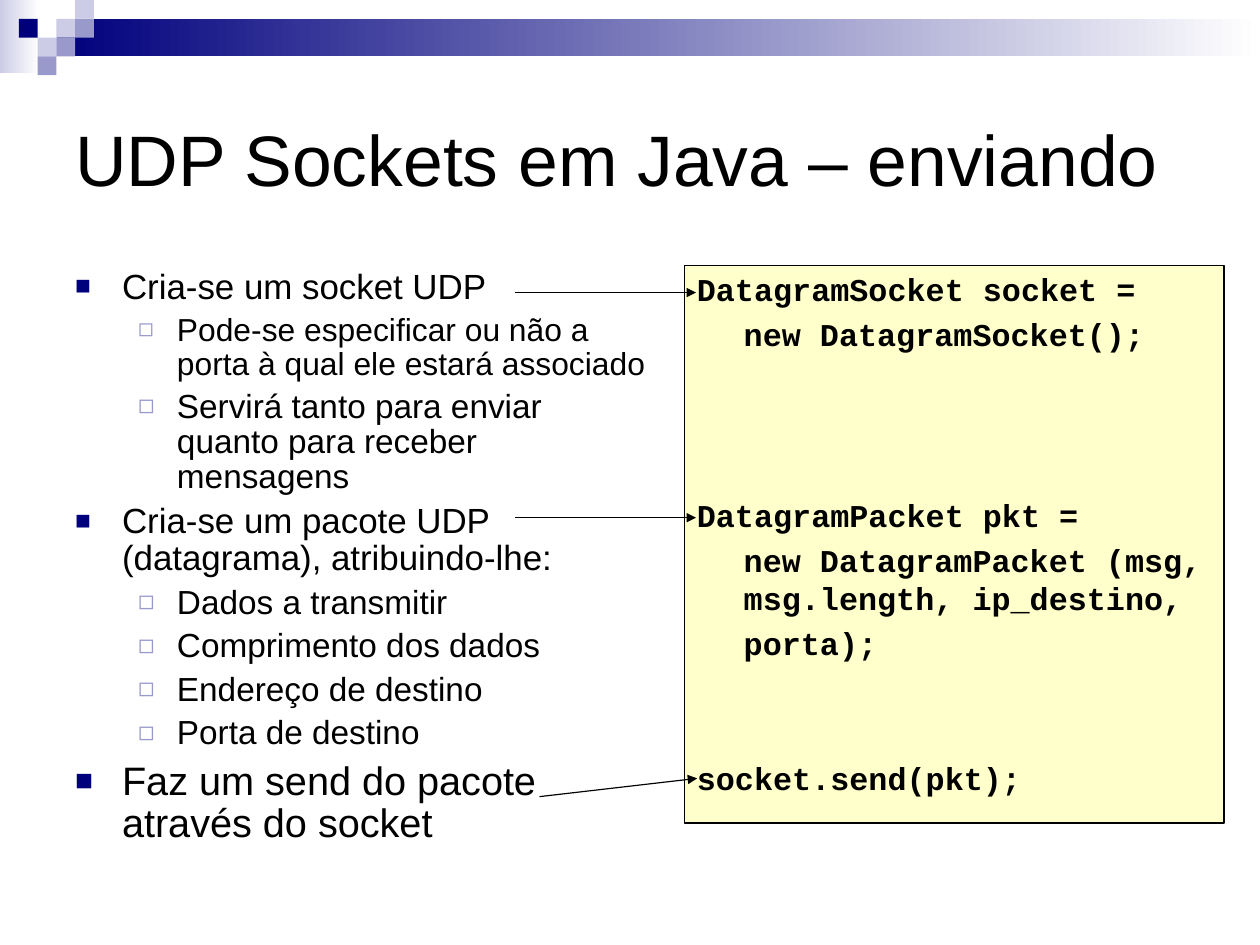
from dataclasses import dataclass

from lxml.etree import SubElement
from pptx import Presentation
from pptx.dml.color import RGBColor as Rgb
from pptx.enum.shapes import MSO_CONNECTOR as Connector, MSO_SHAPE as Shape
from pptx.enum.text import MSO_ANCHOR as Anchor, PP_ALIGN as Align
from pptx.oxml.ns import qn
from pptx.util import Pt


@dataclass(frozen=True)
class Theme:
    ink: str = "000000"
    paper: str = "FFFFFF"
    navy: str = "00007D"
    violet: str = "9999CC"
    mist: str = "CCCCE6"
    cream: str = "FFFFCC"
    sans: str = "Arial"
    mono: str = "Courier New"
    title_size: float = 45
    step_size: float = 22
    closing_size: float = 25
    detail_size: float = 21
    small_detail_size: float = 20
    code_size: float = 20
    line_width: float = 0.75


THEME = Theme()
WIDTH, HEIGHT = 793.75, 595.25

BULLETS = {
    0: ("■", THEME.navy, 75, 29.5, -29.5),
    1: ("◻", THEME.violet, 80, 64.1, -24.5),
}

STEPS = [
    (0, THEME.step_size, 0, "Cria-se um socket UDP"),
    (1, THEME.small_detail_size, 5,
     "Pode-se especificar ou não a porta à qual ele estará associado"),
    (1, THEME.detail_size, 5.2, "Servirá tanto para enviar quanto para receber mensagens"),
    (0, THEME.step_size, 5.5, "Cria-se um pacote UDP (datagrama), atribuindo-lhe:"),
    (1, THEME.detail_size, 5.2, "Dados a transmitir"),
    (1, THEME.detail_size, 5.2, "Comprimento dos dados"),
    (1, THEME.detail_size, 5.2, "Endereço de destino"),
    (1, THEME.detail_size, 5.2, "Porta de destino"),
    (0, THEME.closing_size, 6.2, "Faz um send do pacote através do socket"),
]

CODE = [
    (0, 0, "DatagramSocket socket ="),
    (29.5, 5, "new DatagramSocket();"),
    (0, 90.6, "DatagramPacket pkt ="),
    (29.5, 5, "new DatagramPacket (msg, msg.length, ip_destino,"),
    (29.5, 5, "porta);"),
    (0, 61.6, "socket.send(pkt);"),
]

ARROWS = [
    (-106.6, 17.3, 7.2, 17.3),
    (-106.6, 159.1, 7.2, 159.1),
    (-91.4, 334.8, 7.9, 323.3),
]


def add_block(slide, left, top, width, height):
    block = slide.shapes.add_shape(
        Shape.RECTANGLE, Pt(left), Pt(top), Pt(width), Pt(height))
    block.shadow.inherit = False
    block.line.fill.background()
    return block


def fill_solid(block, color):
    block.fill.solid()
    block.fill.fore_color.rgb = Rgb.from_string(color)


def fill_fade(block, start, end):
    block.fill.gradient()
    block.fill.gradient_angle = 0
    for stop, position, color in zip(block.fill.gradient_stops, (0, 1), (start, end)):
        stop.position = position
        stop.color.rgb = Rgb.from_string(color)


def set_frame(frame, anchor):
    frame.word_wrap = True
    frame.vertical_anchor = anchor
    frame.margin_left = frame.margin_right = Pt(7.7)
    frame.margin_top = Pt(3.8)
    frame.margin_bottom = Pt(4.3)


def add_text_box(slide, left, top, width, height, anchor):
    box = slide.shapes.add_textbox(Pt(left), Pt(top), Pt(width), Pt(height))
    set_frame(box.text_frame, anchor)
    return box.text_frame


def next_paragraph(frame, index):
    return frame.add_paragraph() if index else frame.paragraphs[0]


def add_run(paragraph, text, size, face, bold=False):
    run = paragraph.add_run()
    run.text = text
    run.font.size = Pt(size)
    run.font.name = face
    run.font.bold = bold
    run.font.color.rgb = Rgb.from_string(THEME.ink)


def set_indent(paragraph, margin, indent):
    properties = paragraph._p.get_or_add_pPr()
    properties.set("marL", str(Pt(margin)))
    properties.set("indent", str(Pt(indent)))
    return properties


def set_bullet(paragraph, level):
    symbol, color, percent, margin, indent = BULLETS[level]
    properties = set_indent(paragraph, margin, indent)
    bullet_color = SubElement(properties, qn("a:buClr"))
    SubElement(bullet_color, qn("a:srgbClr"), val=color)
    SubElement(properties, qn("a:buSzPct"), val=str(percent * 1000))
    SubElement(properties, qn("a:buFont"), typeface=THEME.sans)
    SubElement(properties, qn("a:buChar"), char=symbol)


def add_banner(slide, left, top, width):
    cell = 11.85
    fill_fade(add_block(slide, left, top, 25, 46.1), THEME.mist, THEME.paper)
    fill_fade(add_block(slide, left + 36, top + cell, width - 36, 23.7),
              THEME.navy, THEME.paper)
    tiles = {
        THEME.mist: [(3, 1), (4, 0), (2, 2)],
        THEME.violet: [(4, 1), (3, 2), (2, 3)],
        THEME.navy: [(1, 1)],
    }
    for color, places in tiles.items():
        for column, row in places:
            tile = add_block(slide, left + column * cell, top + row * cell, cell, cell)
            fill_solid(tile, color)


def add_title(slide, left, top, width, height):
    frame = add_text_box(slide, left, top, width, height, Anchor.MIDDLE)
    add_run(frame.paragraphs[0], "UDP Sockets em Java – enviando",
            THEME.title_size, THEME.sans)


def add_steps(slide, left, top, width, height):
    frame = add_text_box(slide, left, top, width, height, Anchor.TOP)
    for index, (level, size, gap, text) in enumerate(STEPS):
        step = next_paragraph(frame, index)
        step.level = level
        set_bullet(step, level)
        step.line_spacing = 0.88
        step.space_before = Pt(gap)
        add_run(step, text, size, THEME.sans)


def add_code(slide, left, top, width, height):
    panel = add_block(slide, left, top, width, height)
    fill_solid(panel, THEME.cream)
    panel.line.color.rgb = Rgb.from_string(THEME.ink)
    panel.line.width = Pt(THEME.line_width)
    set_frame(panel.text_frame, Anchor.TOP)
    for index, (margin, gap, text) in enumerate(CODE):
        statement = next_paragraph(panel.text_frame, index)
        set_indent(statement, margin, 0)
        statement.alignment = Align.LEFT
        statement.line_spacing = 0.98
        statement.space_before = Pt(gap)
        add_run(statement, text, THEME.code_size, THEME.mono, bold=True)


def add_arrows(slide, left, top):
    for start_x, start_y, end_x, end_y in ARROWS:
        arrow = slide.shapes.add_connector(
            Connector.STRAIGHT, Pt(left + start_x), Pt(top + start_y),
            Pt(left + end_x), Pt(top + end_y))
        arrow.line.color.rgb = Rgb.from_string(THEME.ink)
        arrow.line.width = Pt(THEME.line_width)
        SubElement(arrow.line._get_or_add_ln(), qn("a:tailEnd"), type="triangle")
        SubElement(arrow._element.spPr, qn("a:effectLst"))


def main():
    deck = Presentation()
    deck.slide_width, deck.slide_height = Pt(WIDTH), Pt(HEIGHT)
    slide = deck.slides.add_slide(deck.slide_layouts[6])
    add_banner(slide, 0, 0, WIDTH)
    add_title(slide, 39.7, 40.2, 714.2, 118.8)
    add_steps(slide, 39.7, 166.3, 379.4, 398.2)
    add_code(slide, 431.3, 167, 339.8, 351.4)
    add_arrows(slide, 431.3, 167)
    deck.save("out.pptx")


if __name__ == "__main__":
    main()
